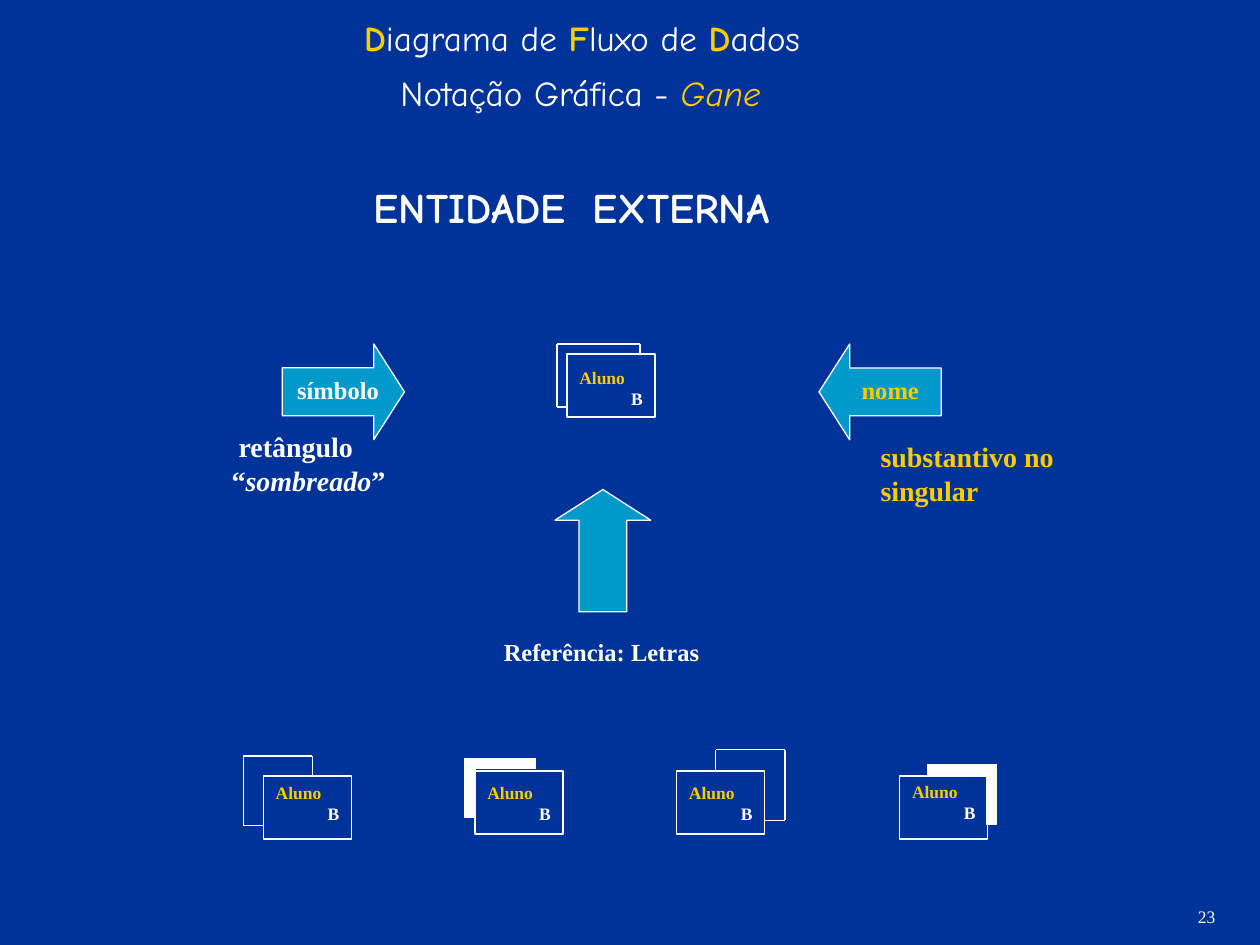
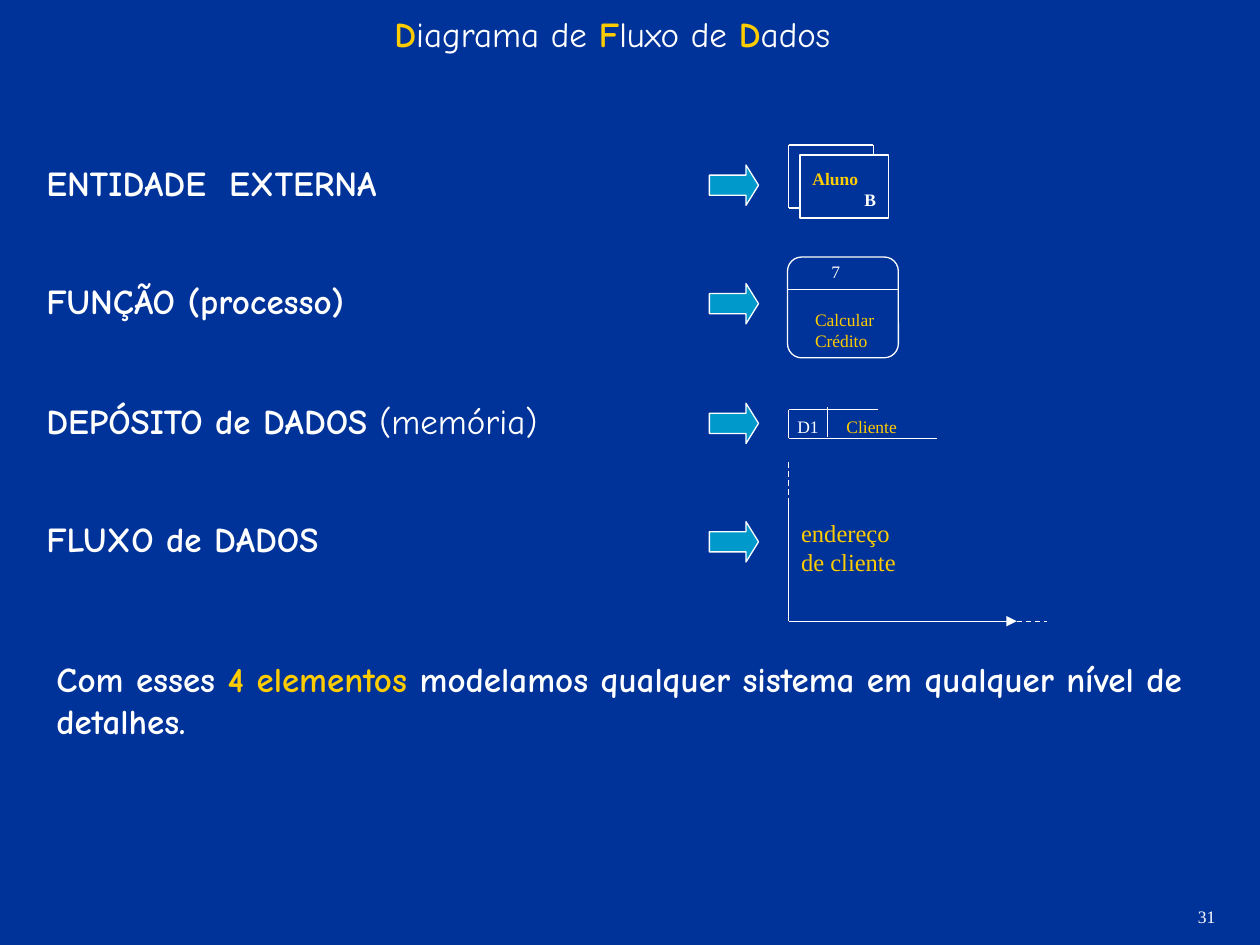
from dataclasses import dataclass
from itertools import pairwise
from lxml.etree import SubElement
from pptx import Presentation
from pptx.dml.color import RGBColor as Rgb
from pptx.enum.dml import MSO_LINE as Dash
from pptx.enum.shapes import MSO_CONNECTOR as Wire, MSO_SHAPE as Form
from pptx.enum.text import MSO_ANCHOR as Anchor, MSO_AUTO_SIZE as Fit, PP_ALIGN as Align
from pptx.oxml.ns import qn
from pptx.util import Pt


@dataclass(frozen=True)
class Theme:
    back: Rgb = Rgb(0x00, 0x33, 0x99)
    ink: Rgb = Rgb(0xFF, 0xFF, 0xFF)
    gold: Rgb = Rgb(0xFF, 0xCC, 0x00)
    teal: Rgb = Rgb(0x00, 0x99, 0xCC)
    head: str = "Comic Neue"
    body: str = "Times New Roman"
    big: int = 24
    title: int = 20
    lead: int = 16
    label: int = 14
    small: int = 10
    edge: float = 0.75


theme = Theme()
PX = 9144


def put(slide, kind, x, y, w, h, pars=(), size=theme.small, face=theme.body, fill=None):
    box = [n * PX for n in (x, y, w, h)]
    if kind == "title":
        shape = slide.shapes.title
        shape.left, shape.top, shape.width, shape.height = box
    elif kind == "text":
        shape = slide.shapes.add_textbox(*box)
    else:
        shape = slide.shapes.add_shape(kind, *box)
        shape.shadow.inherit = False
        shape.line.color.rgb = theme.ink
        shape.line.width = Pt(theme.edge)
        if fill:
            shape.fill.solid()
            shape.fill.fore_color.rgb = fill
        else:
            shape.fill.background()
    if pars:
        frame = shape.text_frame
        frame.word_wrap = True
        frame.auto_size = Fit.NONE
        frame.vertical_anchor = Anchor.TOP
    for i, runs in enumerate(pars):
        par = frame.add_paragraph() if i else frame.paragraphs[0]
        par.alignment = Align.LEFT
        par.font.name = face
        par.font.size = Pt(size)
        for words, style in runs:
            run = par.add_run()
            run.text = words
            font = par.font if len(runs) == 1 else run.font
            font.bold = "b" in style
            font.italic = "i" in style
            font.color.rgb = theme.gold if "y" in style else theme.ink
            if "w" in style:
                run._r.get_or_add_rPr().set("spc", str(size * 30))
    return shape


def wire(slide, *dots, dash=False, arrow=False):
    for start, end in pairwise(dots):
        line = slide.shapes.add_connector(Wire.STRAIGHT, *[n * PX for n in start + end])
        line.line.color.rgb = theme.ink
        line.line.width = Pt(theme.edge)
        if dash:
            line.line.dash_style = Dash.DASH
        props = line._element.spPr
        if arrow and end == dots[-1]:
            SubElement(props.find(qn("a:ln")), qn("a:tailEnd"), type="triangle")
        SubElement(props, qn("a:effectLst"))


deck = Presentation()
deck.slide_width, deck.slide_height = 1000 * PX, 750 * PX
ground = deck.slide_master.background.fill
ground.solid()
ground.fore_color.rgb = theme.back

topic = [("D", "by"), ("iagrama de ", ""), ("F", "by"), ("luxo de ", ""), ("D", "by"), ("ados", "")]
entity = [("ENTIDADE", "b"), (" ", "bw"), ("EXTERNA", "b")]
pages = []
for x, y, w, number in [(279, 8, 417, "23"), (303, 5, 387, "31")]:
    page = deck.slides.add_slide(deck.slide_layouts[5])
    put(page, "title", x, y, w, 44, [topic], theme.title, theme.head)
    put(page, "text", 941, 714, 47, 27, [[(number, "")]])
    pages.append(page)
detail, recap = pages

put(detail, "text", 308, 52, 358, 44, [[("Notação Gráfica - ", ""), ("Gane", "iy")]], theme.title, theme.head)
put(detail, "text", 287, 139, 417, 50, [entity], theme.big, theme.head)

for x, y, turn in [(224, 273, 0), (650, 273, 180), (430, 399, 270)]:
    arrow = put(detail, Form.RIGHT_ARROW, x, y, 97, 76, fill=theme.teal)
    arrow.adjustments[0], arrow.adjustments[1] = 0.5, 0.32
    arrow.rotation = turn

for x, y, w, h, size, runs in [
    (226, 293, 87, 34, theme.label, [("símbolo", "b")]),
    (674, 293, 70, 34, theme.label, [("nome", "by")]),
    (390, 501, 180, 34, theme.label, [("Referência: Letras", "b")]),
    (174, 336, 160, 64, theme.lead, [(" retângulo “", "b"), ("sombreado", "bi"), ("”", "b")]),
    (689, 344, 160, 64, theme.lead, [("substantivo no singular", "by")]),
]:
    put(detail, "text", x, y, w, h, [runs], size)

for page, x, y, drop in [
    (detail, 450, 281, 5),
    (detail, 209, 616, 0),
    (detail, 377, 612, 4),
    (detail, 537, 612, 4),
    (detail, 714, 616, -1),
    (recap, 635, 123, 5),
]:
    card = put(page, Form.RECTANGLE, x, y, 70, 50, [[("Aluno", "by")], [("B", "b")]])
    card.text_frame.margin_left = card.text_frame.margin_right = 10 * PX
    card.text_frame.margin_top = (5 + drop) * PX
    card.text_frame.paragraphs[1].alignment = Align.RIGHT

for page, near, far, top, low, side, base in [
    (detail, 508, 442, 273, 323, 450, 281),
    (detail, 248, 193, 600, 655, 209, 616),
    (detail, 568, 623, 595, 651, 607, 612),
    (recap, 693, 626, 115, 165, 635, 123),
]:
    wire(page, (near, base), (near, top), (far, top), (far, low), (side, low))

for x, y, post in [(370, 602, 369), (736, 607, 783)]:
    put(detail, Form.RECTANGLE, x, y, 55, 8, fill=theme.ink)
    put(detail, Form.RECTANGLE, post, y, 8, 47, fill=theme.ink)

terms = [
    entity,
    [("FUNÇÃO (processo)", "b")],
    [("DEPÓSITO de DADOS", "b"), (" (memória)", "")],
    [("FLUXO de DADOS", "b")],
]
for i, runs in enumerate(terms):
    y = 123 + round(i * 94.4)
    put(recap, "text", 27, y, 520, 44, [runs], theme.title, theme.head)
    arrow = put(recap, Form.RIGHT_ARROW, 563, y + 8, 39, 32, fill=theme.teal)
    arrow.adjustments[0], arrow.adjustments[1] = 0.5, 0.31

task = put(recap, Form.ROUNDED_RECTANGLE, 625, 204, 88, 80)
task.adjustments[0] = 0.14
wire(recap, (625, 230), (713, 230))
put(recap, "text", 650, 202, 42, 27, [[("7", "")]])
put(recap, "text", 637, 240, 68, 44, [[("Calcular Crédito", "y")]])

put(recap, "text", 623, 325, 50, 27, [[("D1", "")]])
put(recap, "text", 662, 325, 67, 27, [[("Cliente", "y")]])
wire(recap, (744, 348), (626, 348), (626, 325), (697, 325))
wire(recap, (657, 323), (657, 347))

put(recap, "text", 626, 406, 110, 57, [[("endereço", "y")], [("de cliente", "y")]], theme.label)
wire(recap, (626, 367), (626, 399), dash=True)
wire(recap, (626, 399), (626, 493), (807, 493), arrow=True)
wire(recap, (807, 493), (831, 493), dash=True)

closing = [
    ("Com esses ", "b"),
    ("4 elementos", "by"),
    (" modelamos qualquer sistema em qualquer nível de detalhes.", "b"),
]
put(recap, "text", 35, 517, 937, 77, [closing], theme.title, theme.head)

deck.save("out.pptx")
